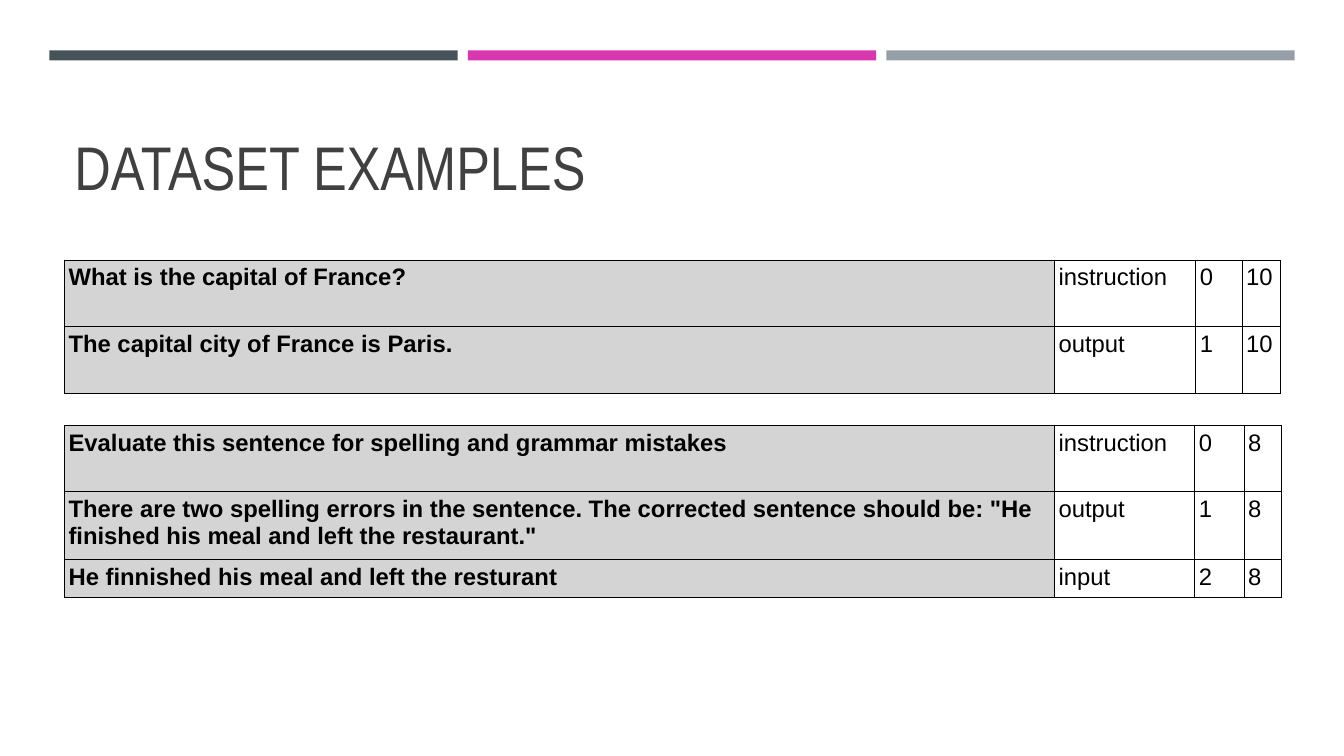
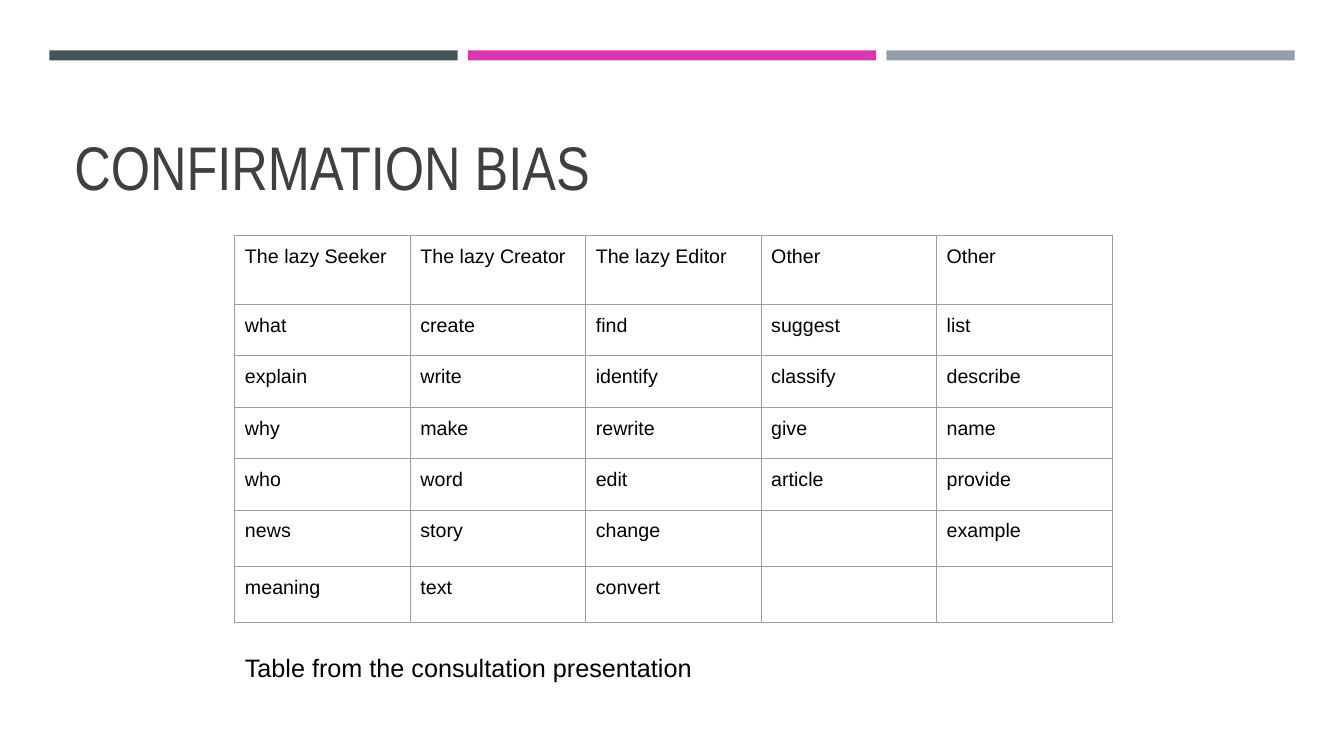
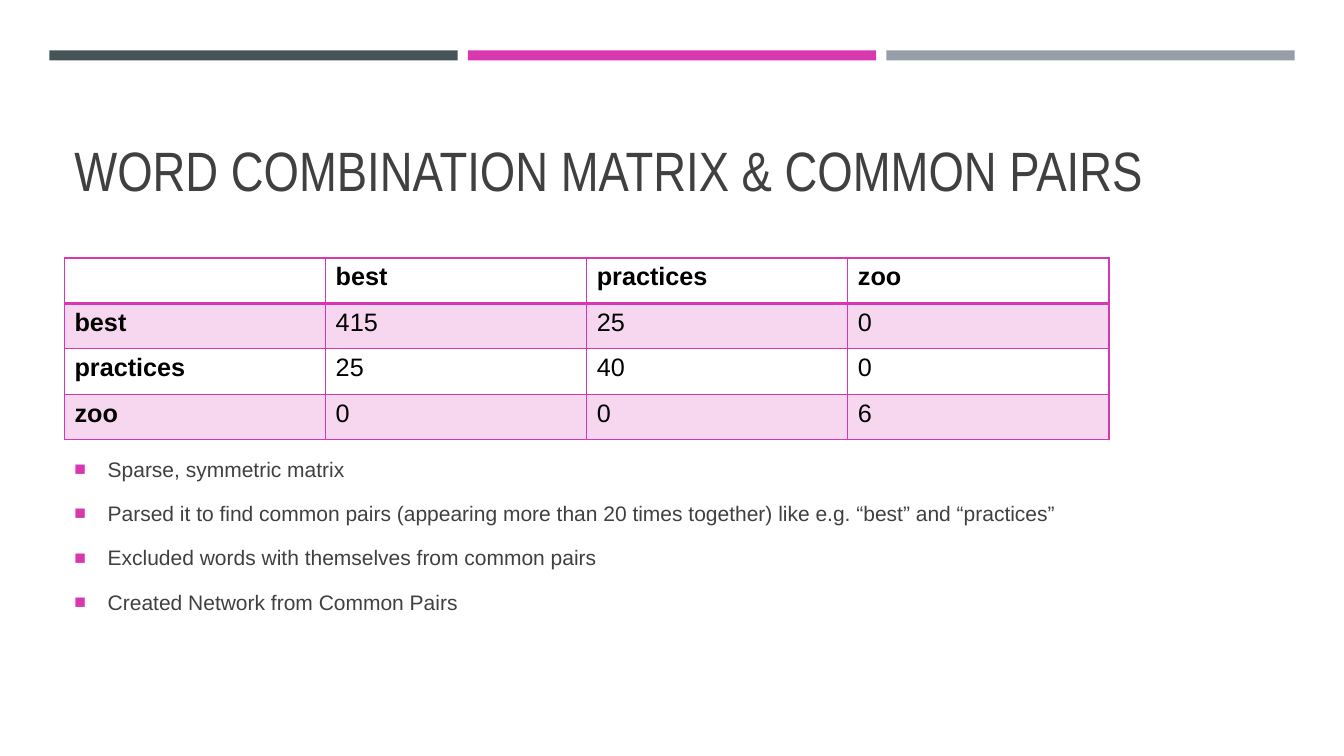
import dataclasses
import typing

import lxml.etree
import pptx
import pptx.dml.color
import pptx.enum.shapes
import pptx.enum.text
import pptx.oxml.ns
import pptx.slide
import pptx.text.text
import pptx.util

Inches = pptx.util.Inches
Pt = pptx.util.Pt
Anchor = pptx.enum.text.MSO_ANCHOR
Rule = typing.Callable[[int, int], bool]


@dataclasses.dataclass(frozen=True)
class Theme:
    slate: str = "465359"
    pink: str = "D937B0"
    steel: str = "969FA7"
    gray: str = "404040"
    black: str = "000000"
    silver: str = "D4D4D4"
    line: str = "9E9E9E"
    head: str = "Arial Narrow"
    body: str = "Arial"
    title: float = 44
    fit: float = 39.6
    text: float = 18
    sample: float = 17
    list: float = 15
    small: float = 14


THEME = Theme()


@dataclasses.dataclass(frozen=True)
class Box:
    left: float
    top: float
    width: float
    height: float

    def place(self) -> tuple[int, ...]:
        return tuple(Inches(v) for v in dataclasses.astuple(self))


@dataclasses.dataclass(frozen=True)
class Font:
    size: float
    color: str = THEME.black
    name: str = THEME.body
    bold: bool = False


@dataclasses.dataclass(frozen=True)
class Grid:
    left: float
    top: float
    cols: list[float]
    rows: list[float]
    cells: list[list[str]]
    size: float
    pad: tuple[float, float]
    edge: str
    line: float = 0.75
    under: float = 0.75
    fill: str = THEME.silver
    alpha: int = 100
    tint: Rule = lambda row, col: False
    bold: Rule = lambda row, col: False


TITLE = Box(0.64, 0.77, 12.06, 1.3)
SAMPLE = dict(size=THEME.sample, pad=(0.04, 0.04), edge=THEME.black,
              tint=lambda row, col: col == 0, bold=lambda row, col: col == 0)

FRANCE = Grid(0.64, 2.58, [9.82, 1.4, 0.46, 0.38], [0.66, 0.66], [
    ["What is the capital of France?", "instruction", "0", "10"],
    ["The capital city of France is Paris.", "output", "1", "10"],
], **SAMPLE)

SPELL = Grid(0.64, 4.22, [9.82, 1.39, 0.49, 0.37], [0.66, 0.67, 0.38], [
    ["Evaluate this sentence for spelling and grammar mistakes", "instruction", "0", "8"],
    ["There are two spelling errors in the sentence. The corrected sentence should be: "
     "\"He finished his meal and left the restaurant.\"", "output", "1", "8"],
    ["He finnished his meal and left the resturant", "input", "2", "8"],
], **SAMPLE)

WORDS = Grid(2.33, 2.34, [1.74] * 5, [0.68] + [0.51] * 4 + [0.56] * 2, [
    ["The lazy Seeker", "The lazy Creator", "The lazy Editor", "Other", "Other"],
    ["what", "create", "find", "suggest", "list"],
    ["explain", "write", "identify", "classify", "describe"],
    ["why", "make", "rewrite", "give", "name"],
    ["who", "word", "edit", "article", "provide"],
    ["news", "story", "change", "", "example"],
    ["meaning", "text", "convert", "", ""],
], size=THEME.small, pad=(0.1, 0.1), edge=THEME.line)

PAIRS = Grid(0.64, 2.56, [2.59] * 4, [0.45] * 4, [
    ["", "best", "practices", "zoo"],
    ["best", "415", "25", "0"],
    ["practices", "25", "40", "0"],
    ["zoo", "0", "0", "6"],
], size=THEME.text, pad=(0.1, 0.05), edge=THEME.pink, line=1, under=2,
    fill=THEME.pink, alpha=20,
    tint=lambda row, col: row % 2 == 1, bold=lambda row, col: row == 0 or col == 0)

NOTES = [
    "Sparse, symmetric matrix",
    "Parsed it to find common pairs (appearing more than 20 times together) "
    "like e.g. “best” and “practices”",
    "Excluded words with themselves from common pairs",
    "Created Network from Common Pairs",
]


def tone(code: str) -> pptx.dml.color.RGBColor:
    return pptx.dml.color.RGBColor.from_string(code)


def apply(item: typing.Any, form: dict[str, typing.Any]) -> None:
    for key, value in form.items():
        setattr(item, key, value)


def node(root: typing.Any, tag: str, **form: object) -> typing.Any:
    return lxml.etree.SubElement(root, pptx.oxml.ns.qn(tag),
                                 {key: str(value) for key, value in form.items()})


def write(para: typing.Any, text: str, font: Font) -> None:
    run = para.add_run()
    run.text = text
    apply(run.font, {"name": font.name, "size": Pt(font.size), "bold": font.bold})
    run.font.color.rgb = tone(font.color)


def add_text(slide: pptx.slide.Slide, box: Box, lines: list[str], font: Font,
             anchor: Anchor, form: dict[str, typing.Any]) -> pptx.text.text.TextFrame:
    frame = slide.shapes.add_textbox(*box.place()).text_frame
    apply(frame, {"word_wrap": True, "vertical_anchor": anchor})
    for index, line in enumerate(lines):
        para = frame.add_paragraph() if index else frame.paragraphs[0]
        write(para, line, font)
        apply(para, form)
    return frame


def add_list(slide: pptx.slide.Slide, box: Box, lines: list[str]) -> None:
    form = {"line_spacing": 1.2, "space_before": Pt(4), "space_after": Pt(6)}
    frame = add_text(slide, box, lines, Font(THEME.list, THEME.gray), Anchor.MIDDLE, form)
    for para in frame.paragraphs:
        prop = para._p.get_or_add_pPr()
        prop.set("marL", str(Inches(0.33)))
        prop.set("indent", str(-Inches(0.33)))
        node(node(prop, "a:buClr"), "a:srgbClr", val=THEME.pink)
        node(prop, "a:buSzPct", val=92000)
        node(prop, "a:buFont", typeface=THEME.body)
        node(prop, "a:buChar", char="■")


def add_edge(cell: typing.Any, grid: Grid, row: int) -> None:
    prop = cell._tc.get_or_add_tcPr()
    for index, side in enumerate(("lnL", "lnR", "lnT", "lnB")):
        wide = grid.under if row == 0 and side == "lnB" else grid.line
        edge = node(prop, f"a:{side}", w=Pt(wide))
        node(node(edge, "a:solidFill"), "a:srgbClr", val=grid.edge)
        prop.insert(index, edge)


def add_fill(cell: typing.Any, grid: Grid, tint: bool) -> None:
    if not tint:
        cell.fill.background()
        return
    cell.fill.solid()
    cell.fill.fore_color.rgb = tone(grid.fill)
    if grid.alpha < 100:
        color = cell._tc.tcPr.find(".//" + pptx.oxml.ns.qn("a:srgbClr"))
        node(color, "a:alpha", val=grid.alpha * 1000)


def add_grid(slide: pptx.slide.Slide, grid: Grid) -> None:
    box = Box(grid.left, grid.top, sum(grid.cols), sum(grid.rows))
    table = slide.shapes.add_table(len(grid.rows), len(grid.cols), *box.place()).table
    apply(table, {"first_row": False, "horz_banding": False})
    for col, width in zip(table.columns, grid.cols):
        col.width = Inches(width)
    for row, height in zip(table.rows, grid.rows):
        row.height = Inches(height)
    across, down = (Inches(pad) for pad in grid.pad)
    for row, texts in enumerate(grid.cells):
        for col, text in enumerate(texts):
            cell = table.cell(row, col)
            apply(cell, {"margin_left": across, "margin_right": across,
                         "margin_top": down, "margin_bottom": down})
            if text:
                write(cell.text_frame.paragraphs[0], text,
                      Font(grid.size, bold=grid.bold(row, col)))
            add_fill(cell, grid, grid.tint(row, col))
            add_edge(cell, grid, row)


def add_slide(deck: typing.Any, title: str, size: float = THEME.title) -> pptx.slide.Slide:
    slide = deck.slides.add_slide(deck.slide_layouts[6])
    for index, color in enumerate((THEME.slate, THEME.pink, THEME.steel)):
        box = Box(0.49 + 4.15 * index, 0.5, 4.05, 0.1)
        bar = slide.shapes.add_shape(pptx.enum.shapes.MSO_SHAPE.RECTANGLE, *box.place())
        bar.shadow.inherit = False
        bar.fill.solid()
        bar.fill.fore_color.rgb = tone(color)
        bar.line.fill.background()
    add_text(slide, TITLE, [title], Font(size, THEME.gray, THEME.head),
             Anchor.BOTTOM, {"line_spacing": 0.9})
    return slide


def main() -> None:
    deck = pptx.Presentation()
    apply(deck, {"slide_width": Inches(13.33), "slide_height": Inches(7.5)})

    slide = add_slide(deck, "DATASET EXAMPLES")
    for grid in (FRANCE, SPELL):
        add_grid(slide, grid)

    slide = add_slide(deck, "CONFIRMATION BIAS")
    add_grid(slide, WORDS)
    add_text(slide, Box(2.33, 6.42, 5.19, 0.4), ["Table from the consultation presentation"],
             Font(THEME.text), Anchor.TOP, {})

    slide = add_slide(deck, "WORD COMBINATION MATRIX & COMMON PAIRS", THEME.fit)
    add_grid(slide, PAIRS)
    add_list(slide, Box(0.64, 4.04, 12.06, 2.49), NOTES)

    deck.save("out.pptx")


if __name__ == "__main__":
    main()
